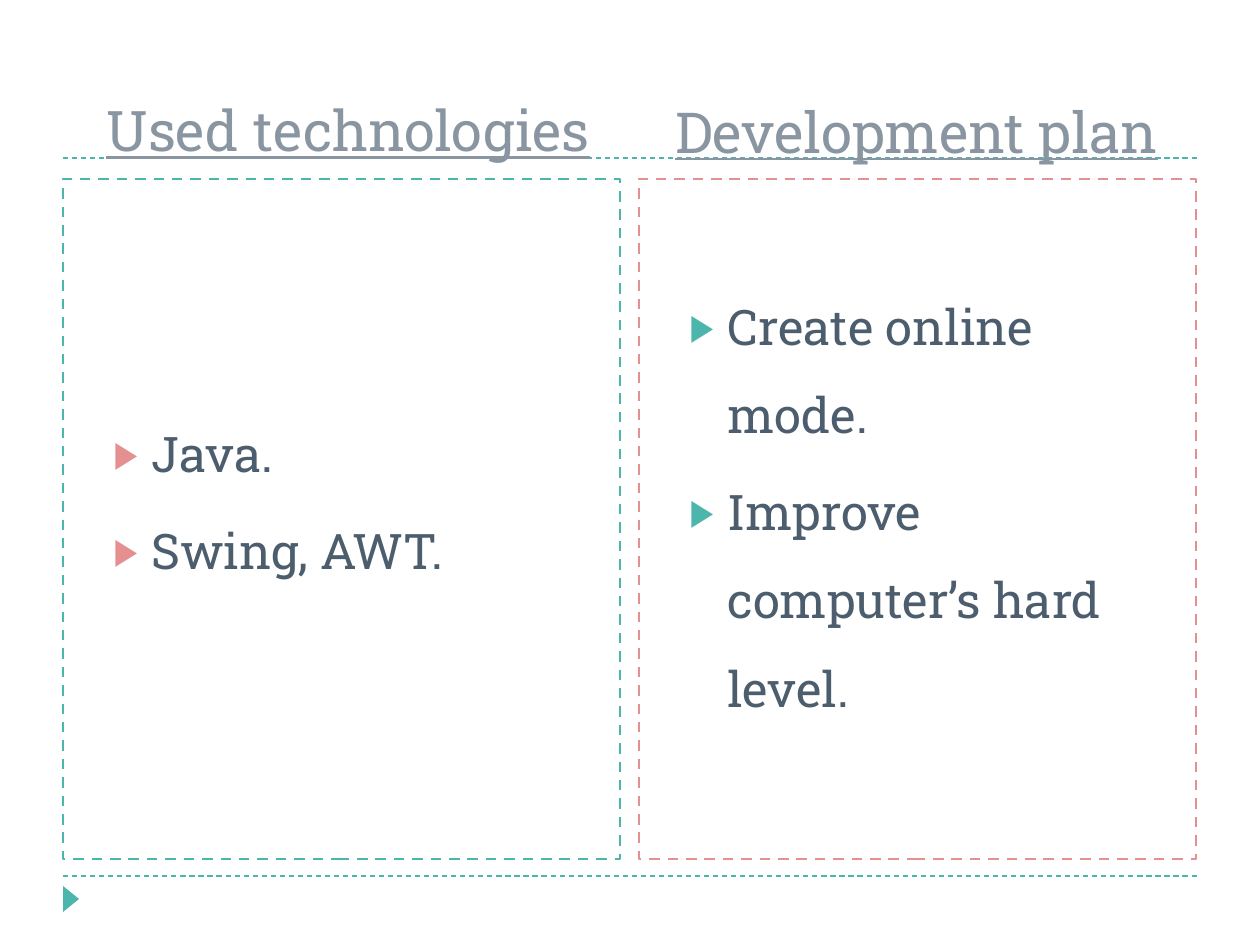
from lxml.etree import SubElement
from pptx import Presentation
from pptx.dml.color import RGBColor
from pptx.enum.dml import MSO_LINE
from pptx.enum.shapes import MSO_CONNECTOR, MSO_SHAPE
from pptx.enum.text import MSO_ANCHOR, PP_ALIGN
from pptx.oxml.ns import qn
from pptx.util import Pt

TEAL = RGBColor(0x4D, 0xB6, 0xAC)
CORAL = RGBColor(0xE4, 0x90, 0x91)
SLATE = RGBColor(0x4C, 0x5D, 0x6E)
GREY = RGBColor(0x89, 0x96, 0xA2)
WHITE = RGBColor(0xFF, 0xFF, 0xFF)
FONT = "Roboto Slab"


def px(pixels):
    return pixels * 914400 // 126


class Deck:
    def __init__(self, width, height):
        self.file = Presentation()
        self.file.slide_width, self.file.slide_height = px(width), px(height)
        self.slide = self.file.slides.add_slide(self.file.slide_layouts[6])
        self.shapes = self.slide.shapes

    def style(self, paragraph, size, color):
        paragraph.font.name = FONT
        paragraph.font.size = Pt(size)
        paragraph.font.color.rgb = color

    def rule(self, left, right, y):
        rule = self.shapes.add_connector(MSO_CONNECTOR.STRAIGHT, px(left), px(y), px(right), px(y))
        rule.line.color.rgb = TEAL
        rule.line.width = Pt(0.75)
        rule.line.dash_style = MSO_LINE.DASH
        SubElement(rule._element.spPr, qn("a:effectLst"))

    def shape(self, kind, left, top, width, height, fill):
        shape = self.shapes.add_shape(kind, px(left), px(top), px(width), px(height))
        shape.shadow.inherit = False
        shape.fill.solid()
        shape.fill.fore_color.rgb = fill
        return shape

    def marker(self, left, top, width, height):
        marker = self.shape(MSO_SHAPE.ISOSCELES_TRIANGLE, left, top, width, height, TEAL)
        marker.line.fill.background()
        marker.rotation = 90

    def heading(self, text, left, top, width, height, size):
        frame = self.shapes.add_textbox(px(left), px(top), px(width), px(height)).text_frame
        frame.word_wrap = True
        frame.vertical_anchor = MSO_ANCHOR.BOTTOM
        paragraph = frame.paragraphs[0]
        paragraph.text = text
        self.style(paragraph, size, GREY)
        paragraph.font.underline = True

    def panel(self, items, left, top, width, height, border, bullet, lift):
        panel = self.shape(MSO_SHAPE.RECTANGLE, left, top, width, height, WHITE)
        panel.line.color.rgb = border
        panel.line.width = Pt(1.5)
        panel.line.dash_style = MSO_LINE.DASH
        frame = panel.text_frame
        frame.word_wrap = True
        frame.vertical_anchor = MSO_ANCHOR.MIDDLE
        frame.margin_bottom = px(6 + lift)
        for index, item in enumerate(items):
            paragraph = frame.add_paragraph() if index else frame.paragraphs[0]
            paragraph.text = item
            paragraph.alignment = PP_ALIGN.LEFT
            paragraph.line_spacing = 1.5
            paragraph.space_before = Pt(5)
            self.style(paragraph, 28, SLATE)
            self.bullet(paragraph, bullet)

    def bullet(self, paragraph, color):
        properties = paragraph._p.get_or_add_pPr()
        properties.set("marL", str(px(76)))
        properties.set("indent", str(-px(38)))
        tint = SubElement(properties, qn("a:buClr"))
        SubElement(tint, qn("a:srgbClr"), val=str(color))
        SubElement(properties, qn("a:buSzPct"), val="76000")
        SubElement(properties, qn("a:buFont"), typeface=FONT)
        SubElement(properties, qn("a:buChar"), char="▶")


deck = Deck(1260, 945)
for rule_y in (876, 158):
    deck.rule(63, 1197, rule_y)
deck.marker(58, 891, 26, 16)

columns = [
    ("Used technologies", 94, 43, 32, 63, TEAL, CORAL, 65,
     ["Java.", "Swing, AWT."]),
    ("Development plan", 663, 45, 32.3, 639, CORAL, TEAL, 54,
     ["Create online mode.", "Improve computer’s hard level."]),
]
for title, title_left, title_top, size, left, border, bullet, lift, items in columns:
    deck.panel(items, left, 179, 557, 680, border, bullet, lift)
    deck.heading(title, title_left, title_top, 563, 126, size)

deck.file.save("out.pptx")
